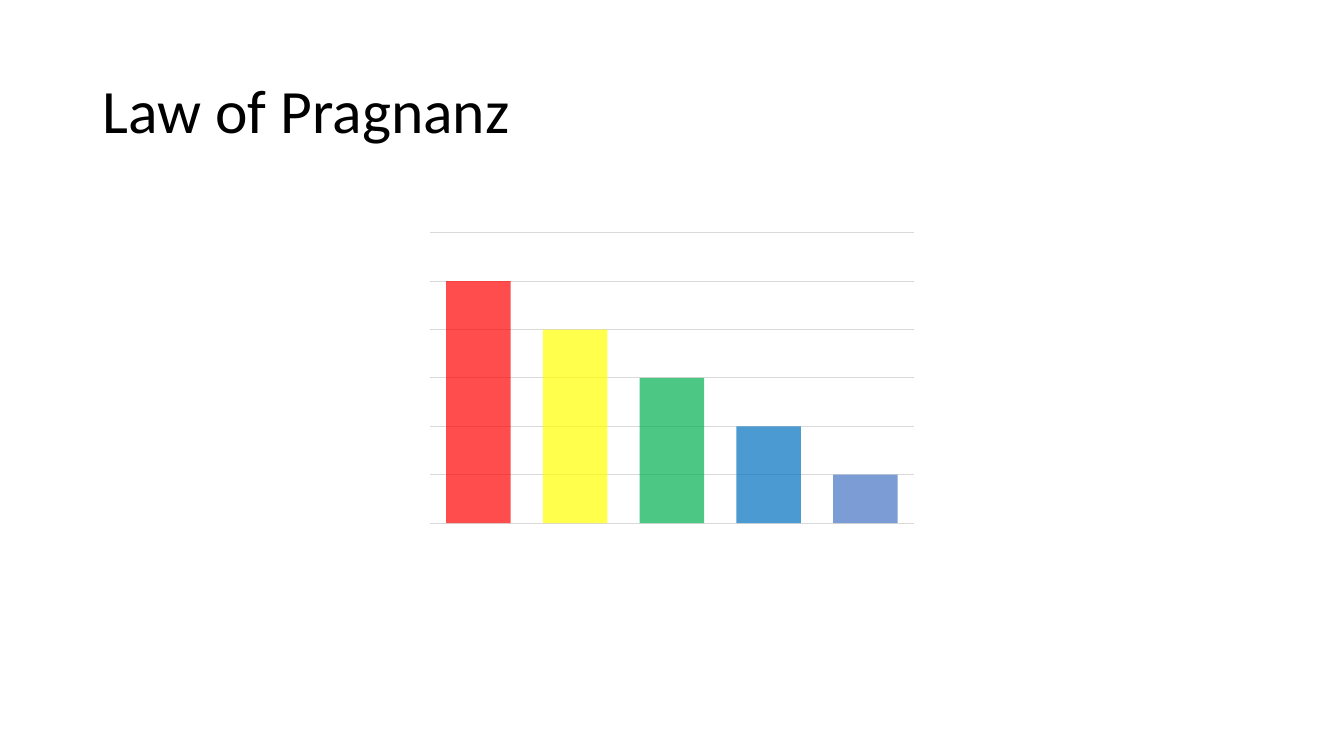
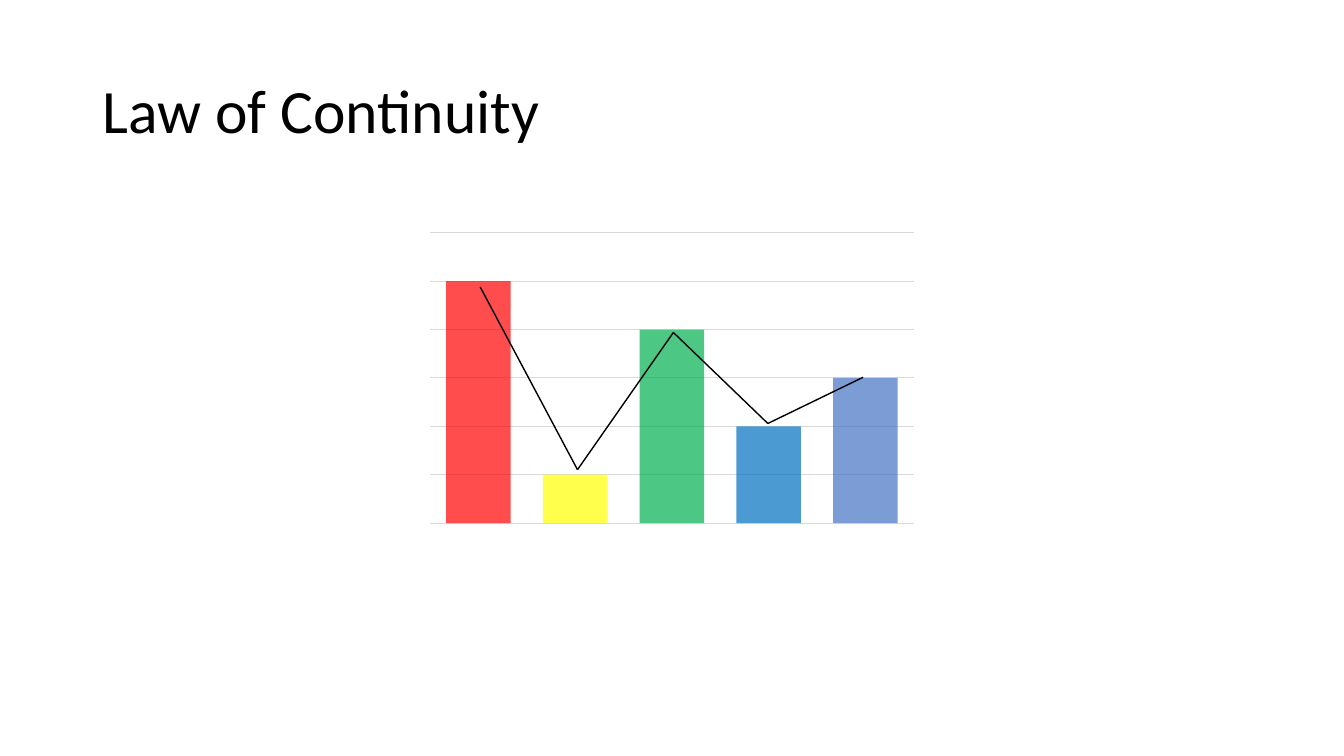
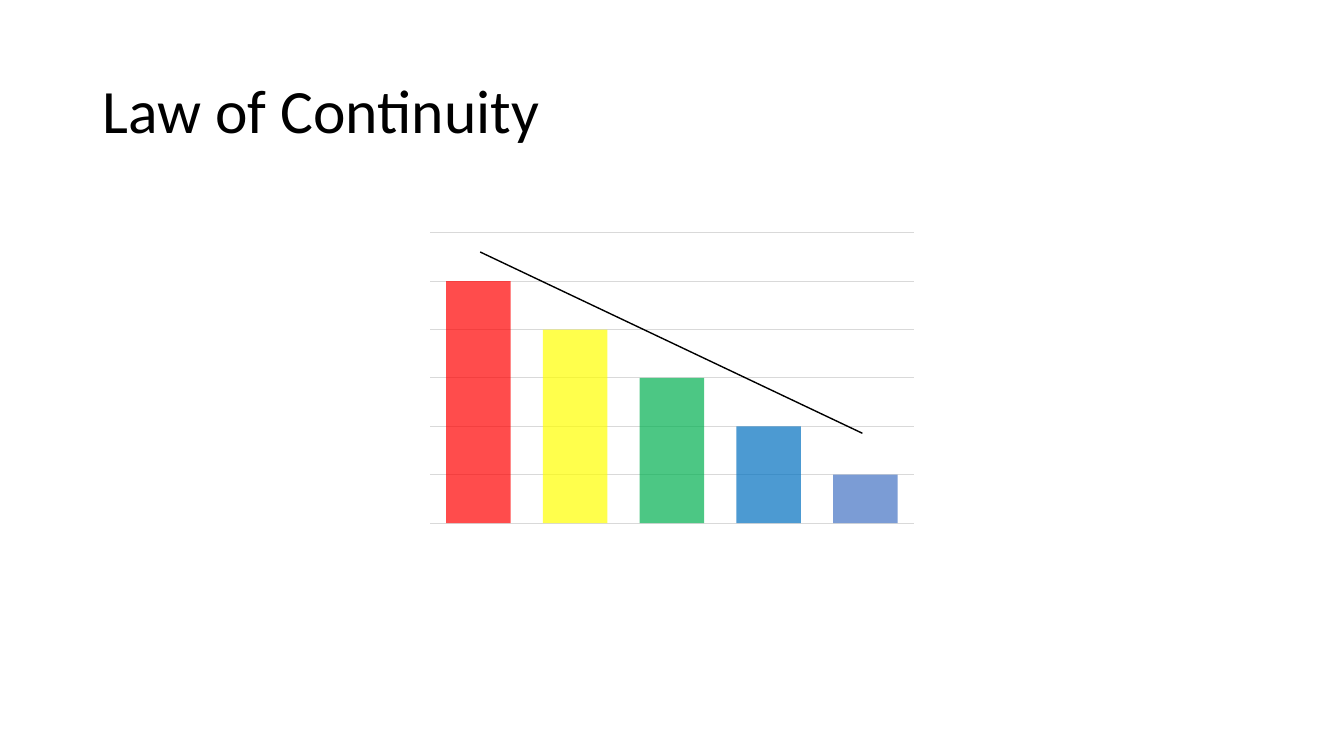
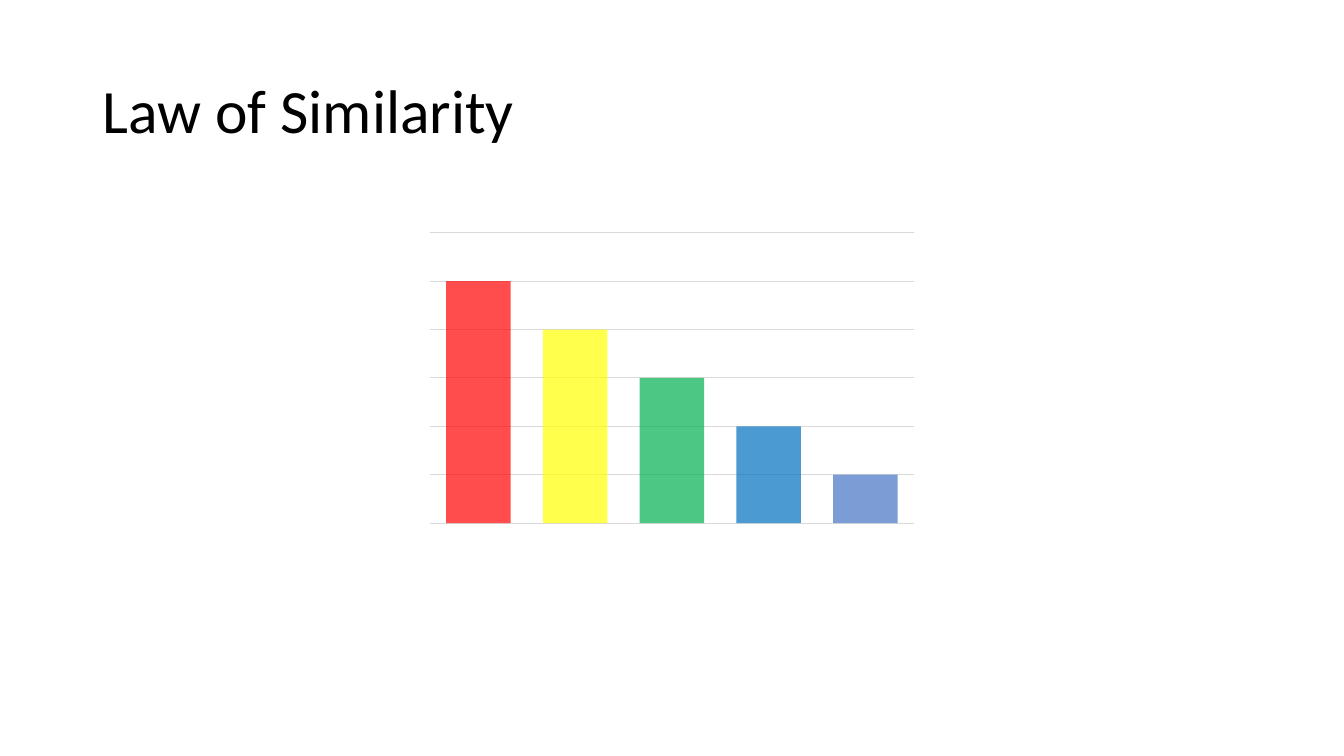
from dataclasses import dataclass
from itertools import pairwise

from lxml.etree import SubElement as Sub
from pptx import Presentation as Deck
from pptx.chart.chart import Chart
from pptx.chart.data import CategoryChartData as Data
from pptx.dml.color import RGBColor as Rgb
from pptx.dml.fill import FillFormat as Fill
from pptx.enum.chart import XL_CHART_TYPE as Kind
from pptx.enum.shapes import MSO_CONNECTOR as Link
from pptx.enum.text import MSO_ANCHOR as Anchor
from pptx.enum.text import MSO_AUTO_SIZE as Fit
from pptx.enum.text import PP_ALIGN as Align
from pptx.oxml.ns import qn
from pptx.slide import Slide
from pptx.text.text import Font
from pptx.util import Pt

FACE = "Calibri"
BLACK = "000000"
GRID = "D9D9D9"
BARS = ["FF0000", "FFFF00", "00B050", "0070C0"]
LAST = "4472C4"
OPAQUE = 70

Point = tuple[float, float]


@dataclass(frozen=True)
class Law:
    title: str
    vals: tuple[int, ...] = (100, 80, 60, 40, 20)
    trend: tuple[Point, ...] = ()


LAWS = [
    Law("Law of Pragnanz"),
    Law(
        "Law of Continuity",
        (100, 20, 80, 40, 60),
        ((343, 205), (412.5, 335.5), (481, 237.5), (548.5, 302.5), (616.5, 269.5)),
    ),
    Law("Law of Continuity", trend=((343, 180), (616, 309.5))),
    Law("Law of Similarity"),
]


def paint(fill: Fill, tone: str) -> None:
    fill.solid()
    fill.fore_color.rgb = Rgb.from_string(tone)


def style(font: Font, size: float) -> None:
    font.name = FACE
    font.size = Pt(size)
    font.color.rgb = Rgb.from_string(BLACK)


def add_title(slide: Slide, text: str) -> None:
    title = slide.shapes.title
    title.left, title.top = Pt(66), Pt(28.75)
    title.width, title.height = Pt(828), Pt(104.4)
    frame = title.text_frame
    frame.word_wrap = True
    frame.auto_size = Fit.NONE
    frame.vertical_anchor = Anchor.MIDDLE
    para = frame.paragraphs[0]
    para.alignment = Align.LEFT
    para.line_spacing = 0.9
    run = para.add_run()
    run.text = text
    style(run.font, 44)


def fade(chart: Chart) -> None:
    for ser in chart.element.iter(qn("c:ser")):
        for tone in ser.iter(qn("a:srgbClr")):
            Sub(tone, qn("a:alpha"), val=str(OPAQUE * 1000))


def add_bars(slide: Slide, vals: tuple[int, ...]) -> None:
    data = Data()
    data.categories = [str(n) for n in range(1, len(vals) + 1)]
    data.add_series("Series 1", vals)
    chart = slide.shapes.add_chart(
        Kind.COLUMN_STACKED, Pt(300), Pt(162), Pt(360), Pt(216), data
    ).chart
    style(chart.font, 10)
    chart.has_title = False
    chart.has_legend = False
    chart.category_axis.visible = False

    axis = chart.value_axis
    axis.visible = False
    axis.minimum_scale, axis.maximum_scale, axis.major_unit = 0, 120, 20
    axis.has_major_gridlines = True
    line = axis.major_gridlines.format.line
    line.width = Pt(0.75)
    paint(line.fill, GRID)

    plot = chart.plots[0]
    plot.vary_by_categories = False
    plot.gap_width, plot.overlap = 50, 100
    bars = plot.series[0]
    bars.invert_if_negative = False
    paint(bars.format.fill, LAST)
    for i, tone in enumerate(BARS):
        paint(bars.points[i].format.fill, tone)
    fade(chart)


def add_trend(slide: Slide, trend: tuple[Point, ...]) -> None:
    for start, end in pairwise(trend):
        ends = [Pt(v) for v in (*start, *end)]
        link = slide.shapes.add_connector(Link.STRAIGHT, *ends)
        link.line.width = Pt(1)
        paint(link.line.fill, BLACK)
        Sub(link.element.spPr, qn("a:effectLst"))


def main() -> None:
    deck = Deck()
    deck.slide_width, deck.slide_height = Pt(960), Pt(540)
    for law in LAWS:
        slide = deck.slides.add_slide(deck.slide_layouts.get_by_name("Title Only"))
        add_title(slide, law.title)
        add_bars(slide, law.vals)
        add_trend(slide, law.trend)
    deck.save("out.pptx")


if __name__ == "__main__":
    main()
